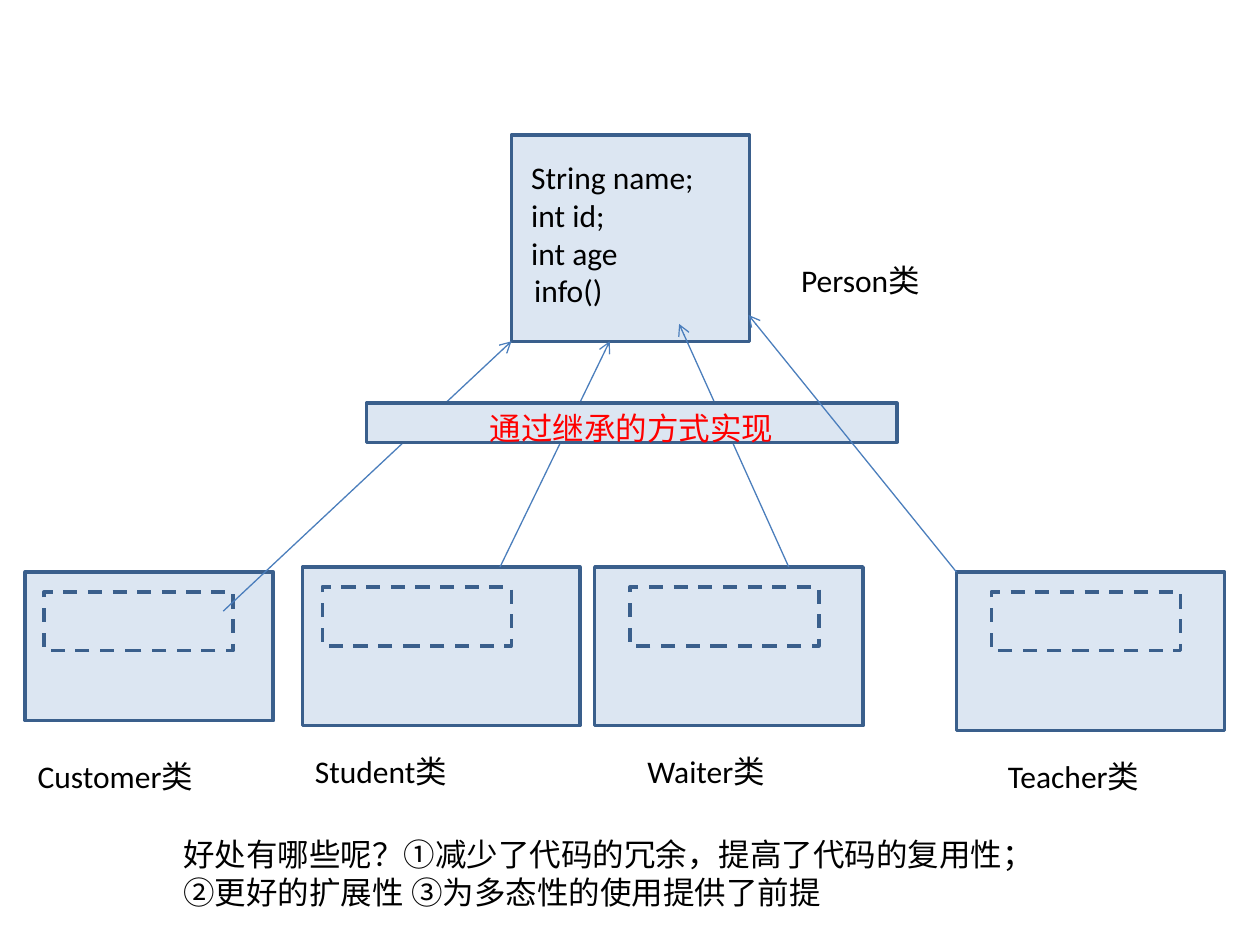
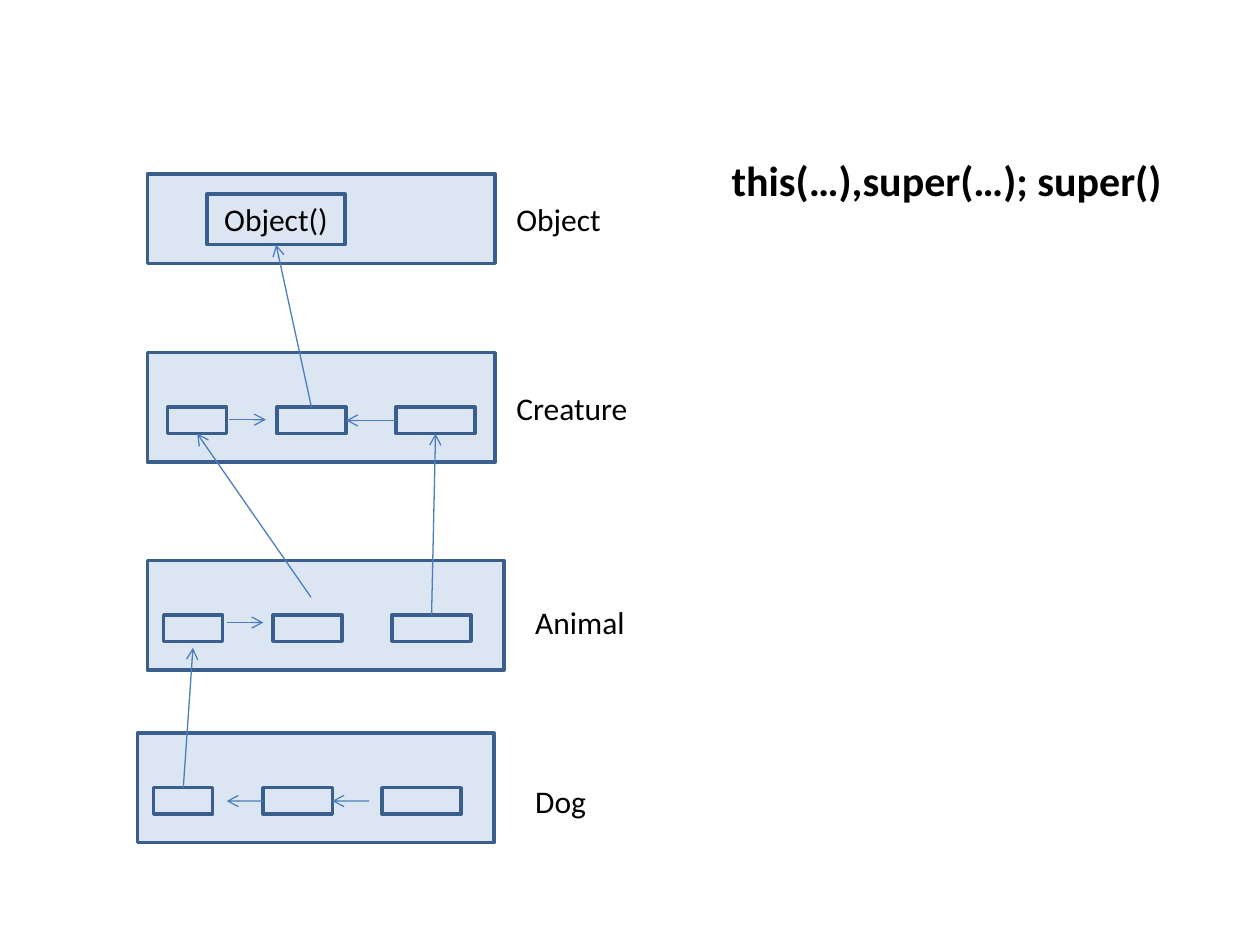
from dataclasses import dataclass

from lxml import etree
from pptx import Presentation
from pptx import util as u
from pptx.dml.color import RGBColor
from pptx.enum import dml, shapes, text
from pptx.oxml.ns import qn

TOP, LEFT, BOTTOM, RIGHT = range(4)


@dataclass(frozen=True)
class Theme:
    box_fill: RGBColor = RGBColor(0xDC, 0xE6, 0xF2)
    box_line: RGBColor = RGBColor(0x3A, 0x5F, 0x8C)
    arrow: RGBColor = RGBColor(0x4B, 0x7E, 0xBC)
    ink: RGBColor = RGBColor(0, 0, 0)
    accent: RGBColor = RGBColor(0xFF, 0, 0)
    font: str = "Calibri"
    body: int = 18
    heading: int = 24
    box_width: float = 2
    arrow_width: float = 0.75


def write(frame, content, theme, size=None, color=None, bold=False, align=None):
    """Fill a text frame, one paragraph for each line of content."""
    frame.word_wrap = True
    for i, line in enumerate(content.split("\n")):
        paragraph = frame.paragraphs[0] if i == 0 else frame.add_paragraph()
        paragraph.alignment = align
        run = paragraph.add_run()
        run.text = line
        run.font.name = theme.font
        run.font.size = u.Pt(size or theme.body)
        run.font.bold = bold
        run.font.color.rgb = color or theme.ink


class Diagram:
    def __init__(self, deck, theme):
        self.deck, self.theme, self.slide = deck, theme, None

    def new_slide(self):
        self.slide = self.deck.slides.add_slide(self.deck.slide_layouts[6])

    def box(self, left, top, width, height, content=None, dashed=False):
        rect = self.slide.shapes.add_shape(
            shapes.MSO_SHAPE.RECTANGLE, *map(u.Cm, (left, top, width, height)))
        rect.shadow.inherit = False
        rect.fill.solid()
        rect.fill.fore_color.rgb = self.theme.box_fill
        rect.line.color.rgb = self.theme.box_line
        rect.line.width = u.Pt(self.theme.box_width)
        if dashed:
            rect.line.dash_style = dml.MSO_LINE.DASH
        if content:
            rect.text_frame.vertical_anchor = text.MSO_ANCHOR.MIDDLE
            write(rect.text_frame, content, self.theme, align=text.PP_ALIGN.CENTER)
        return rect

    def label(self, content, left, top, width, height=1.02, **style):
        area = self.slide.shapes.add_textbox(*map(u.Cm, (left, top, width, height)))
        write(area.text_frame, content, self.theme, **style)

    def arrow(self, start, end):
        """Draw an arrow; each end is an (x, y) point in cm or a (box, side) pair."""
        joined = [not isinstance(tip[0], (int, float)) for tip in (start, end)]
        points = [(0, 0) if glued else tip for tip, glued in zip((start, end), joined)]
        link = self.slide.shapes.add_connector(
            shapes.MSO_CONNECTOR.STRAIGHT, *(u.Cm(v) for point in points for v in point))
        if joined[0]:
            link.begin_connect(*start)
        if joined[1]:
            link.end_connect(*end)
        link.line.color.rgb = self.theme.arrow
        link.line.width = u.Pt(self.theme.arrow_width)
        properties = link._element.spPr
        etree.SubElement(properties.find(qn("a:ln")), qn("a:tailEnd"), type="arrow")
        etree.SubElement(properties, qn("a:effectLst"))


def build_inheritance(diagram):
    diagram.new_slide()
    diagram.box(10.31, 2.72, 4.8, 4.17)
    diagram.label("String name;\nint id;\nint age", 10.46, 3.07, 4.19, 2.57)
    diagram.label("info()", 10.52, 5.33, 3.81)
    diagram.label("Person类", 15.9, 5.13, 4.19)

    # name, left, top, width, height, inherited part left, label left, label width
    subclasses = [
        ("Customer类", 0.51, 11.53, 5, 3, 0.89, 0.51, 4.6),
        ("Student类", 6.1, 11.43, 5.59, 3.2, 6.5, 6.1, 4.19),
        ("Waiter类", 11.99, 11.43, 5.41, 3.2, 12.7, 12.8, 3.2),
        ("Teacher类", 19.28, 11.53, 5.41, 3.2, 19.99, 20.07, 3.2),
    ]
    for name, left, top, width, height, inherited, name_left, name_width in subclasses:
        diagram.box(left, top, width, height)
        diagram.box(inherited, top + 0.4, 3.81, 1.19, dashed=True)
        diagram.label(name, name_left, top + 3.6, name_width)

    diagram.arrow((4.5, 12.32), (10.31, 6.88))
    diagram.arrow((10.08, 11.43), (12.29, 6.88))
    diagram.arrow((15.9, 11.43), (13.69, 6.53))
    diagram.box(7.39, 8.13, 10.69, 0.79)
    diagram.label("通过继承的方式实现", 7.39, 8.13, 10.69,
                  color=diagram.theme.accent, align=text.PP_ALIGN.CENTER)
    diagram.arrow((19.28, 11.53), (15.09, 6.35))
    diagram.label("好处有哪些呢？①减少了代码的冗余，提高了代码的复用性；"
                  "②更好的扩展性 ③为多态性的使用提供了前提", 3.45, 16.71, 17.45, 1.8)


def build_constructor_chain(diagram):
    diagram.new_slide()
    diagram.label("this(…),super(…); super()", 14.5, 3, 9.19, 1.27,
                  size=diagram.theme.heading, bold=True)
    diagram.box(2.97, 3.51, 7.01, 1.8)
    diagram.label("Object", 10.16, 3.91, 3.2)
    object_constructor = diagram.box(4.17, 3.91, 2.79, 1.02, "Object()")

    # name, left, top, width, first constructor left, label left, label top
    classes = [
        ("Creature", 2.97, 7.11, 7.01, 3.38, 10.16, 7.72),
        ("Animal", 2.97, 11.3, 7.19, 3.3, 10.54, 12.04),
        ("Dog", 2.77, 14.78, 7.19, 3.1, 10.54, 15.65),
    ]
    constructors = {}
    for name, left, top, width, first, name_left, name_top in classes:
        diagram.box(left, top, width, 2.21)
        diagram.label(name, name_left, name_top, 3.81)
        constructors[name] = [
            diagram.box(first + offset, top + 1.1, size, 0.53)
            for offset, size in ((0, 1.19), (2.2, 1.4), (4.6, 1.6))]
    creature, animal, dog = constructors.values()

    calls = [
        ((animal[2], TOP), (creature[2], BOTTOM)),
        ((creature[2], LEFT), (creature[1], RIGHT)),
        ((creature[1], TOP), (object_constructor, BOTTOM)),
        ((dog[0], TOP), (3.89, 13.06)),
        ((7.44, 16.15), (dog[1], RIGHT)),
        ((dog[1], LEFT), (4.57, 16.15)),
        ((4.57, 12.55), (5.31, 12.55)),
        ((6.27, 12.04), (creature[0], BOTTOM)),
        ((4.62, 8.46), (5.36, 8.46)),
    ]
    for caller, called in calls:
        diagram.arrow(caller, called)


def main():
    deck = Presentation()
    deck.slide_width, deck.slide_height = u.Cm(25.4), u.Cm(19.05)
    diagram = Diagram(deck, Theme())
    build_inheritance(diagram)
    build_constructor_chain(diagram)
    deck.save("out.pptx")


if __name__ == "__main__":
    main()
